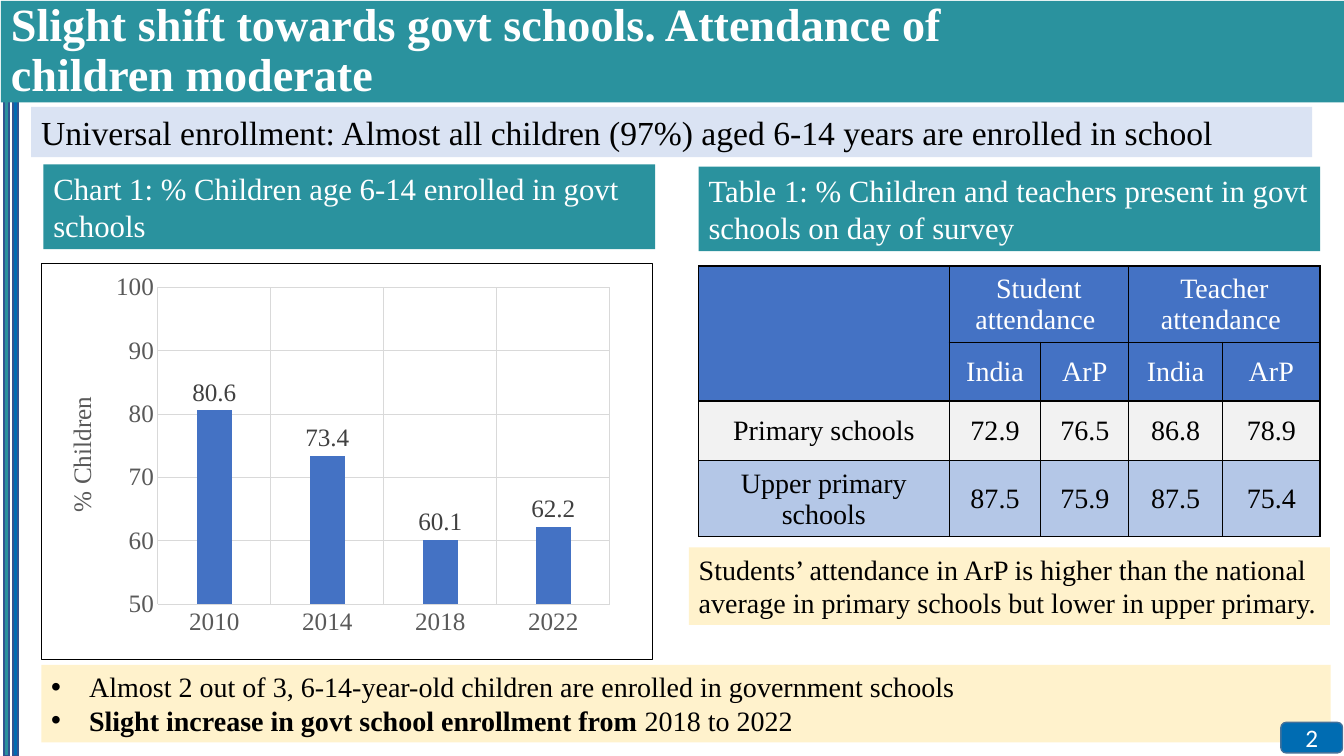
"""Build the slide on government school enrollment and attendance."""
from lxml import etree
from pptx import Presentation
from pptx.chart.data import CategoryChartData
from pptx.dml.color import RGBColor
from pptx.enum.chart import XL_CHART_TYPE, XL_LABEL_POSITION, XL_TICK_MARK
from pptx.enum.shapes import MSO_SHAPE
from pptx.enum.text import MSO_ANCHOR, PP_ALIGN
from pptx.oxml import parse_xml
from pptx.oxml.ns import nsdecls, qn
from pptx.util import Pt

COLUMN = XL_CHART_TYPE.COLUMN_CLUSTERED
OUTSIDE_END = XL_LABEL_POSITION.OUTSIDE_END
NO_TICK = XL_TICK_MARK.NONE
RECTANGLE, ROUNDED = MSO_SHAPE.RECTANGLE, MSO_SHAPE.ROUNDED_RECTANGLE
TOP, MIDDLE = MSO_ANCHOR.TOP, MSO_ANCHOR.MIDDLE
LEFT, CENTER = PP_ALIGN.LEFT, PP_ALIGN.CENTER

BLACK = RGBColor(0x00, 0x00, 0x00)
WHITE = RGBColor(0xFF, 0xFF, 0xFF)
TEAL = RGBColor(0x2A, 0x92, 0x9E)
DEEP_BLUE = RGBColor(0x00, 0x6C, 0xB2)
BAR_EDGE = RGBColor(0x32, 0x54, 0x91)
BADGE_EDGE = RGBColor(0x42, 0x71, 0x9B)
BLUE = RGBColor(0x44, 0x72, 0xC4)
PALE_BLUE = RGBColor(0xDA, 0xE3, 0xF3)
ROW_BLUE = RGBColor(0xB4, 0xC7, 0xE7)
ROW_GRAY = RGBColor(0xF2, 0xF2, 0xF2)
CREAM = RGBColor(0xFF, 0xF2, 0xCC)
GRID = RGBColor(0xD9, 0xD9, 0xD9)
AXIS_TEXT = RGBColor(0x59, 0x59, 0x59)
LABEL_TEXT = RGBColor(0x40, 0x40, 0x40)
SERIF, SANS = "Times New Roman", "Calibri"

TITLE = ["Slight shift towards govt schools. Attendance of", "children moderate"]
SIDE_BARS = [(2.9, TEAL), (9.4, DEEP_BLUE)]
PANELS = [
    ((31, 117.5, 437, 60.5), TEAL, WHITE, 22,
     "Chart 1: % Children age 6-14 enrolled in govt schools"),
    ((22.3, 76.3, 915, 36), PALE_BLUE, BLACK, 24,
     "Universal enrollment: Almost all children (97%) aged 6-14 years are enrolled in school"),
    ((499, 119, 444, 60.5), TEAL, WHITE, 22,
     "Table 1: % Children and teachers present in govt schools on day of survey"),
    ((492, 391, 458, 55.4), CREAM, BLACK, 20,
     "Students’ attendance in ArP is higher than the national average in primary schools "
     "but lower in upper primary."),
]
FINDINGS = [
    [("Almost 2 out of 3, 6-14-year-old children are enrolled in government schools", False)],
    [("Slight increase in govt school enrollment from", True), (" 2018 to 2022", False)],
]
ENROLLMENT = {"2010": 80.6, "2014": 73.4, "2018": 60.1, "2022": 62.2}
PLOT = {"x": 0.19, "y": 0.06, "w": 0.74, "h": 0.8}
ATTENDANCE = [
    ["", "Student attendance ", "", "Teacher attendance ", ""],
    ["", "India", "ArP", "India", "ArP"],
    ["Primary schools", "72.9", "76.5", "86.8", "78.9"],
    ["Upper primary schools", "87.5", "75.9", "87.5", "75.4"],
]
ROW_STYLES = [(BLUE, WHITE), (BLUE, WHITE), (ROW_GRAY, BLACK), (ROW_BLUE, BLACK)]
MERGES = [(0, 0, 1, 0), (0, 1, 0, 2), (0, 3, 0, 4)]
COLUMN_WIDTHS = [179, 65.5, 62.8, 67, 69.7]
ROW_HEIGHTS = [54.5, 42, 42.5, 54.5]


def style_font(font, size, color, name=SERIF, bold=False):
    font.size, font.name, font.bold = Pt(size), name, bold
    font.color.rgb = color


def add_span(para, text, size, color, name=SERIF, bold=False):
    span = para.add_run()
    span.text = text
    style_font(span.font, size, color, name, bold)


def add_box(page, place, fill, line=None, kind=RECTANGLE, anchor=TOP):
    box = page.shapes.add_shape(kind, *map(Pt, place))
    box.shadow.inherit = False
    box.fill.solid()
    box.fill.fore_color.rgb = fill
    if line is None:
        box.line.fill.background()
    else:
        box.line.color.rgb = line
        box.line.width = Pt(1)
    frame = box.text_frame
    frame.word_wrap = True
    frame.vertical_anchor = anchor
    frame.paragraphs[0].alignment = LEFT
    return box


def add_paras(box, lines, size, color):
    """Fill the box with paragraphs given as lists of (text, bold)."""
    frame = box.text_frame
    for index, spans in enumerate(lines):
        para = frame.add_paragraph() if index else frame.paragraphs[0]
        para.alignment = LEFT
        for text, bold in spans:
            add_span(para, text, size, color, bold=bold)
    return frame.paragraphs


def add_findings(page):
    box = add_box(page, (29.5, 475, 921, 55.4), CREAM)
    for para in add_paras(box, FINDINGS, 20, BLACK):
        props = para._p.get_or_add_pPr()
        props.set("marL", str(Pt(27)))
        props.set("indent", str(-Pt(27)))
        etree.SubElement(props, qn("a:buFont"), typeface="Arial")
        etree.SubElement(props, qn("a:buChar"), char="•")


def add_attendance(page):
    place = (499, 190, sum(COLUMN_WIDTHS), sum(ROW_HEIGHTS))
    table = page.shapes.add_table(
        len(ROW_HEIGHTS), len(COLUMN_WIDTHS), *map(Pt, place)).table
    table.first_row = table.horz_banding = False
    for column, width in zip(table.columns, COLUMN_WIDTHS):
        column.width = Pt(width)
    for row, height in zip(table.rows, ROW_HEIGHTS):
        row.height = Pt(height)
    for top, left, bottom, right in MERGES:
        table.cell(top, left).merge(table.cell(bottom, right))
    for row, texts, (fill, color) in zip(table.rows, ATTENDANCE, ROW_STYLES):
        for cell, text in zip(row.cells, texts):
            cell.margin_left = cell.margin_right = cell.margin_top = Pt(0.7)
            cell.margin_bottom = Pt(0)
            cell.vertical_anchor = MIDDLE
            props = cell._tc.get_or_add_tcPr()
            for side in ("lnL", "lnR", "lnT", "lnB"):
                props.append(parse_xml(
                    f'<a:{side} {nsdecls("a")} w="{Pt(1)}"><a:solidFill>'
                    f'<a:srgbClr val="{BLACK}"/></a:solidFill></a:{side}>'))
            cell.fill.solid()
            cell.fill.fore_color.rgb = fill
            if text:
                para = cell.text_frame.paragraphs[0]
                para.alignment = CENTER
                add_span(para, text, 20, color)


def add_enrollment(page):
    data = CategoryChartData()
    data.categories = list(ENROLLMENT)
    data.add_series("Series 1", list(ENROLLMENT.values()))
    place = (29.5, 188, 437, 283.5)
    chart = page.shapes.add_chart(COLUMN, *map(Pt, place), data).chart
    chart.has_title = chart.has_legend = False
    style_font(chart.font, 18, BLACK)
    for axis in (chart.category_axis, chart.value_axis):
        axis.major_tick_mark = axis.minor_tick_mark = NO_TICK
        style_font(axis.tick_labels.font, 18, AXIS_TEXT)
        axis.has_major_gridlines = True
        for line in (axis.format.line, axis.major_gridlines.format.line):
            line.color.rgb = GRID
            line.width = Pt(0.75)
    scale = chart.value_axis
    scale.format.line.fill.background()
    scale.minimum_scale, scale.maximum_scale, scale.major_unit = 50, 100, 10
    add_span(scale.axis_title.text_frame.paragraphs[0], "% Children", 18, AXIS_TEXT)
    plot = chart.plots[0]
    plot.gap_width, plot.overlap, plot.vary_by_categories = 219, -27, False
    series = plot.series[0]
    series.format.fill.solid()
    series.format.fill.fore_color.rgb = BLUE
    labels = series.data_labels
    labels.show_value, labels.position = True, OUTSIDE_END
    style_font(labels.font, 18, LABEL_TEXT)
    area = chart.element.find(".//" + qn("c:plotArea"))
    for layout in area.findall(qn("c:layout")):
        area.remove(layout)
    modes = '<c:xMode val="edge"/><c:yMode val="edge"/>'
    sizes = "".join(f'<c:{key} val="{value}"/>' for key, value in PLOT.items())
    area.insert(0, parse_xml(
        f'<c:layout {nsdecls("c")}><c:manualLayout><c:layoutTarget val="inner"/>'
        f'{modes}{sizes}</c:manualLayout></c:layout>'))
    chart.element.find(qn("c:txPr")).addprevious(parse_xml(
        f'<c:spPr {nsdecls("c", "a")}><a:noFill/><a:ln w="{Pt(0.75)}"><a:solidFill>'
        f'<a:srgbClr val="{BLACK}"/></a:solidFill></a:ln></c:spPr>'))


def main():
    deck = Presentation()
    deck.slide_width, deck.slide_height = Pt(960), Pt(540)
    page = deck.slides.add_slide(deck.slide_layouts[6])
    for left, color in SIDE_BARS:
        add_box(page, (left, 60, 3.6, 480), color, BAR_EDGE)
    add_findings(page)
    banner = add_box(page, (0.7, 0.7, 959.3, 72.5), TEAL, anchor=MIDDLE)
    for para in add_paras(banner, [[(line, True)] for line in TITLE], 33, WHITE):
        para.line_spacing = 0.9
    badge = add_box(page, (915, 516, 44, 21.8), DEEP_BLUE, BADGE_EDGE, ROUNDED, MIDDLE)
    number = badge.text_frame.paragraphs[0]
    number.alignment = CENTER
    add_span(number, "2", 18, WHITE, SANS)
    for place, fill, color, size, text in PANELS:
        add_paras(add_box(page, place, fill), [[(text, False)]], size, color)
    add_attendance(page)
    add_enrollment(page)
    deck.save("out.pptx")


if __name__ == "__main__":
    main()
